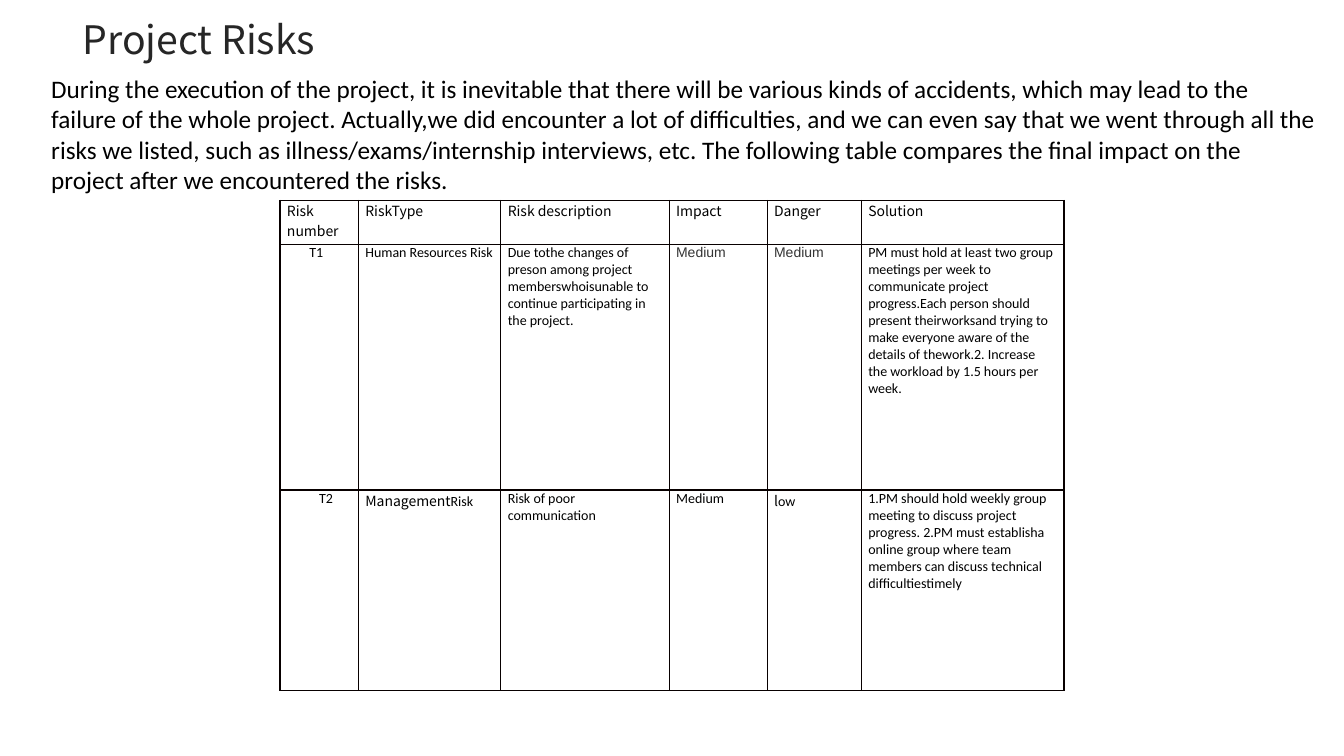
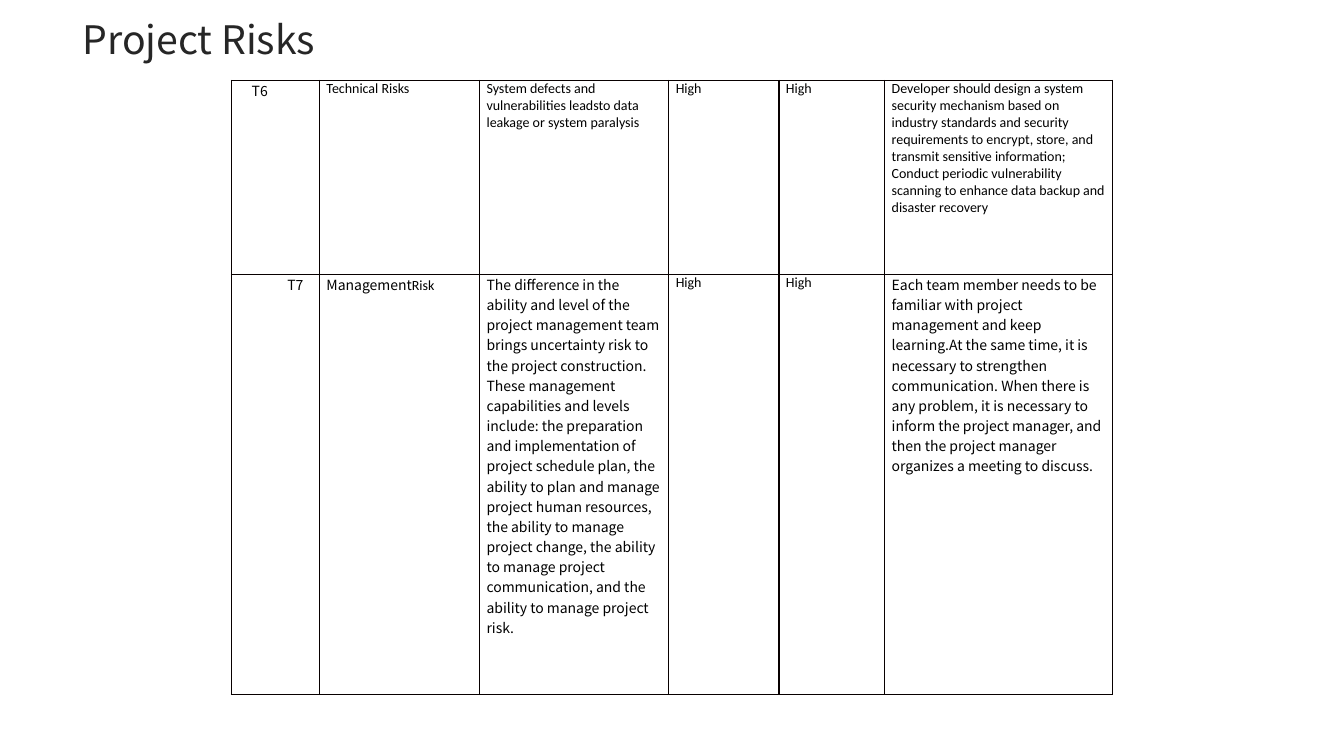
"""Build the two project risk slides."""
from lxml import etree
from pptx import Presentation
from pptx.dml.color import RGBColor
from pptx.enum.text import MSO_ANCHOR, MSO_AUTO_SIZE, PP_ALIGN
from pptx.oxml.ns import qn
from pptx.util import Pt

CENTER = PP_ALIGN.CENTER
MIDDLE, TOP = MSO_ANCHOR.MIDDLE, MSO_ANCHOR.TOP
FIXED = MSO_AUTO_SIZE.NONE
TITLE_ONLY = 5
WIDTH, HEIGHT = 960, 540

COLORS = {"title": "262626", "text": "000000", "grey": "333333", "line": "080000"}
SANS, PLAIN = "Noto Sans CJK SC", "Calibri"
FONTS = {
    "title": {"name": SANS, "size": Pt(28), "color": "title"},
    "intro": {"name": PLAIN, "size": Pt(18), "color": "text"},
    "note": {"name": PLAIN, "size": Pt(10), "color": "text"},
    "wide": {"name": SANS, "size": Pt(10), "color": "text"},
    "grey": {"name": "Arial", "size": Pt(10), "color": "grey"},
}
CELL = {"margin_left": Pt(5), "margin_right": Pt(5), "margin_top": 0,
        "margin_bottom": 0, "vertical_anchor": TOP}
FRAME = {"word_wrap": True, "auto_size": FIXED}
COLUMNS = [56, 101.75, 120.25, 70, 67.25, 144.75]


class Deck:
    """Hold the shared style and the current slide."""

    def __init__(self):
        """Start an empty wide deck."""
        self.file = Presentation()
        self.file.slide_width, self.file.slide_height = Pt(WIDTH), Pt(HEIGHT)
        self.slide = None

    def words(self, para, runs):
        """Add styled runs to a paragraph."""
        for style, text in runs:
            run = para.add_run()
            run.text = text
            for key, value in FONTS[style].items():
                if key == "color":
                    run.font.color.rgb = RGBColor.from_string(COLORS[value])
                else:
                    setattr(run.font, key, value)

    def page(self, title):
        """Add a slide with its title."""
        layout = self.file.slide_layouts[TITLE_ONLY]
        self.slide = self.file.slides.add_slide(layout)
        shape = self.slide.shapes.title
        place = {"left": 0, "top": 7.2, "width": 284, "height": 41}
        for key, value in place.items():
            setattr(shape, key, Pt(value))
        frame = shape.text_frame
        for key, value in {**FRAME, "vertical_anchor": MIDDLE}.items():
            setattr(frame, key, value)
        para = frame.paragraphs[0]
        para.alignment = CENTER
        self.words(para, [("title", title)])

    def text(self, left, top, width, height, text):
        """Add an introductory text box."""
        box = self.slide.shapes.add_textbox(Pt(left), Pt(top), Pt(width), Pt(height))
        for key, value in FRAME.items():
            setattr(box.text_frame, key, value)
        self.words(box.text_frame.paragraphs[0], [("intro", text)])

    def border(self, cell):
        """Draw a thin line on each side of a cell."""
        props = cell._tc.get_or_add_tcPr()
        for side in ("a:lnL", "a:lnR", "a:lnT", "a:lnB"):
            line = etree.SubElement(props, qn(side), w=str(Pt(1)))
            fill = etree.SubElement(line, qn("a:solidFill"))
            etree.SubElement(fill, qn("a:srgbClr"), val=COLORS["line"])

    def cell(self, cell, runs, pad):
        """Fill and format one table cell."""
        for key, value in {**CELL, "margin_left": Pt(pad)}.items():
            setattr(cell, key, value)
        self.border(cell)
        cell.fill.background()
        self.words(cell.text_frame.paragraphs[0], runs)

    def table(self, top, scale, heights, pads, rows):
        """Add a risk table centred across the slide."""
        widths = [width * scale for width in COLUMNS]
        total = sum(widths)
        shape = self.slide.shapes.add_table(
            len(rows), len(widths), Pt((WIDTH - total) / 2), Pt(top),
            Pt(total), Pt(sum(heights)))
        grid = shape.table
        grid.first_row = grid.horz_banding = False
        for col, width in zip(grid.columns, widths):
            col.width = Pt(width)
        for row, height, pad, items in zip(grid.rows, heights, pads, rows):
            row.height = Pt(height)
            for num, (cell, item) in enumerate(zip(row.cells, items)):
                runs = [("note", item)] if isinstance(item, str) else item
                self.cell(cell, runs, 5 if num else pad)


INTRO = (
    "During the execution of the project, it is inevitable that there will be various "
    "kinds of accidents, which may lead to the failure of the whole project. Actually,we "
    "did encounter a lot of difficulties, and we can even say that we went through all "
    "the risks we listed, such as illness/exams/internship interviews, etc. The following "
    "table compares the final impact on the project after we encountered the risks."
)
HEADS = ["Risk number", "RiskType", "Risk description", "Impact", "Danger", "Solution"]
MEDIUM = [("grey", "Medium")]
MANAGE = [("wide", "Management"), ("note", "Risk")]
FIRST = [
    [[("wide", head)] for head in HEADS],
    ["T1", "Human Resources Risk",
     "Due tothe changes of preson among project memberswhoisunable to continue "
     "participating in the project.",
     MEDIUM, MEDIUM,
     "PM must hold at least two group meetings per week to communicate project "
     "progress.Each person should present theirworksand trying to make everyone aware "
     "of the details of thework.2. Increase the workload by 1.5 hours per week."],
    ["T2", MANAGE, "Risk of poor communication", "Medium",
     [("wide", "l"), ("note", "ow")],
     "1.PM should hold weekly group meeting to discuss project progress. 2.PM must "
     "establisha online group where team members can discuss technical "
     "difficultiestimely"],
]
LAST = [
    [[("wide", "T6")], "Technical Risks",
     "System defects and vulnerabilities leadsto data leakage or system paralysis",
     "High", "High",
     "Developer should design a system security mechanism based on industry standards "
     "and security requirements to encrypt, store, and transmit sensitive information; "
     "Conduct periodic vulnerability scanning to enhance data backup and disaster "
     "recovery"],
    [[("wide", "T7")], MANAGE,
     [("wide",
       "The difference in the ability and level of the project management team brings "
       "uncertainty risk to the project construction. These management capabilities and "
       "levels include: the preparation and implementation of project schedule plan, the "
       "ability to plan and manage project human resources, the ability to manage "
       "project change, the ability to manage project communication, and the ability to "
       "manage project risk.")],
     "High", "High",
     [("wide",
       "Each team member needs to be familiar with project management and keep "
       "learning.At the same time, it is necessary to strengthen communication. When "
       "there is any problem, it is necessary to inform the project manager, and then "
       "the project manager organizes a meeting to discuss.")]],
]


def main():
    """Build and save the deck."""
    deck = Deck()
    deck.page("Project Risks")
    deck.text(29.5, 49, 918, 94, INTRO)
    deck.table(143.2, 1, [31.5, 175.25, 143.25], [5, 21, 28], FIRST)
    deck.page("Project Risks")
    deck.table(57.5, 1.124, [138.5, 300], [14.5, 40], LAST)
    deck.file.save("out.pptx")


if __name__ == "__main__":
    main()
